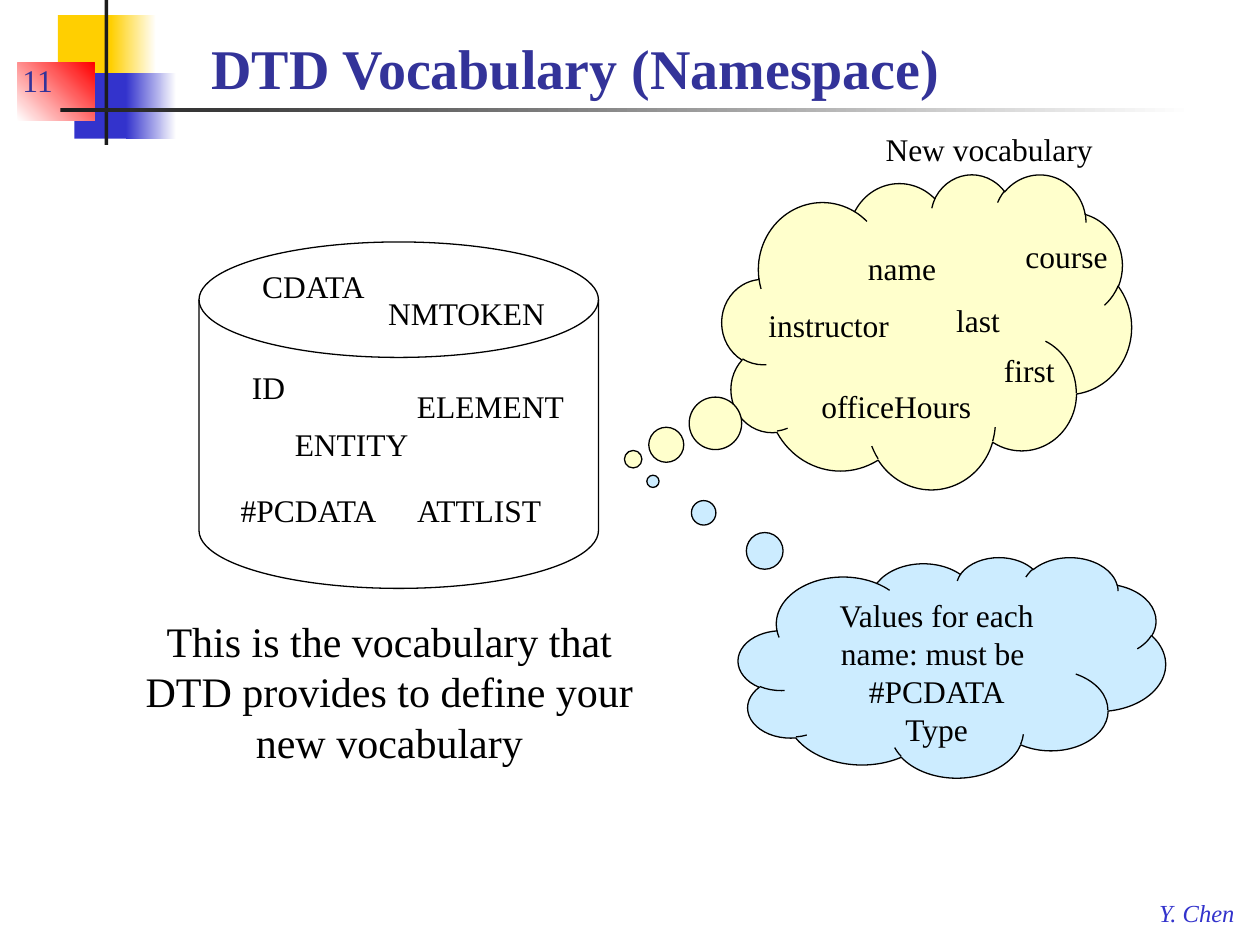
from pptx import Presentation
from pptx.dml.color import RGBColor
from pptx.enum import shapes, text
from pptx.util import Inches, Pt

THEME = {
    "font": "Times New Roman",
    "ink": "000000", "paper": "FFFFFF", "title": "333399", "bar": "1C1C1C",
    "gold": "FFCF01", "blue": "3333CC", "red": "FF0000",
    "cream": "FFFFCC", "sky": "CCECFF",
    "heading": 32, "statement": 24, "body": 18, "credit": 14, "outline": 0.75,
}

DECORATION = [
    ((0.46, 0.12, 0.48, 0.52), ("gold",), 0),
    ((0.88, 0.12, 0.36, 0.52), ("gold", "paper"), 0),
    ((0.59, 0.58, 0.46, 0.52), ("blue",), 0),
    ((1, 0.58, 0.4, 0.52), ("blue", "paper"), 0),
    ((0.14, 0.5, 0.61, 0.46), ("paper", "red"), 45),
    ((0.83, 0, 0.03, 1.15), ("bar",), 0),
    ((0.48, 0.86, 9, 0.03), ("bar", "paper"), 0),
]

CREDIT = ("Y. Chen", (9.1, 7.08, 0.82, 0.33))
PAGE_NUMBER = ("11", (0.08, 0.33, 2.08, 0.5))
TITLE = ("DTD Vocabulary (Namespace)", (1.58, 0.17, 8.33, 0.68))
STATEMENT = ("This is the vocabulary that DTD provides to define your new vocabulary",
             (1.02, 4.83, 4.14, 1.31))

DISK = (1.58, 1.92, 3.17, 2.75)
DTD_WORDS = [
    ("ELEMENT", (3.31, 3.07, 1.23, 0.3)),
    ("ATTLIST", (3.31, 3.9, 1.08, 0.3)),
    ("#PCDATA", (1.91, 3.9, 1.19, 0.3)),
    ("CDATA", (2.08, 2.12, 0.92, 0.3)),
    ("ENTITY", (2.34, 3.37, 0.97, 0.3)),
    ("ID", (2, 2.92, 0.33, 0.3)),
    ("NMTOKEN", (3.08, 2.33, 1.31, 0.3)),
]

NAMES_CLOUD = ((5.73, 1.38, 3.25, 2.5), (-0.717, 0.406))
NEW_WORDS = [
    ("instructor", (6, 2.38, 1.16, 0.4)),
    ("name", (6.79, 1.93, 0.74, 0.4)),
    ("first", (7.87, 2.74, 0.6, 0.4)),
    ("last", (7.49, 2.34, 0.55, 0.4)),
    ("course", (8.04, 1.83, 0.85, 0.4)),
    ("officeHours", (6.42, 3.02, 1.45, 0.4)),
    ("New vocabulary", (6.93, 0.98, 1.85, 0.4)),
]

VALUES_CLOUD = ((5.86, 4.42, 3.39, 1.75), (-0.7, -0.843))
VALUES = ["Values for each name: must be ", "#PCDATA", "Type"]

KIND = shapes.MSO_SHAPE
ANCHOR = text.MSO_ANCHOR
CENTER = text.PP_ALIGN.CENTER


def color(name):
    return RGBColor.from_string(THEME[name])


def add_figure(parent, kind, place, fills, angle=0, outlined=True, tail=()):
    figure = parent.add_shape(kind, *map(Inches, place))
    figure.shadow.inherit = False
    for index, value in enumerate(tail):
        figure.adjustments[index] = value
    if len(fills) > 1:
        figure.fill.gradient()
        figure.fill.gradient_angle = angle
        for stop, name in zip(figure.fill.gradient_stops, fills):
            stop.color.rgb = color(name)
    else:
        figure.fill.solid()
        figure.fill.fore_color.rgb = color(fills[0])
    if outlined:
        figure.line.color.rgb = color("ink")
        figure.line.width = Pt(THEME["outline"])
    else:
        figure.line.fill.background()
    return figure


def write(frame, lines, size="body", ink="ink", align=None, font=None, **layout):
    for key, value in layout.items():
        setattr(frame, key, value)
    for index, line in enumerate(lines):
        paragraph = frame.add_paragraph() if index else frame.paragraphs[0]
        paragraph.alignment = align
        run = paragraph.add_run()
        run.text = line
        run.font.color.rgb = color(ink)
        style = {"name": THEME["font"], "size": Pt(THEME[size]), **(font or {})}
        for key, value in style.items():
            setattr(run.font, key, value)


def add_label(parent, label, **options):
    words, place = label
    box = parent.add_textbox(*map(Inches, place))
    write(box.text_frame, [words], **options)


def main():
    deck = Presentation()
    deck.slide_width, deck.slide_height = Inches(10), Inches(7.5)
    slide = deck.slides.add_slide(deck.slide_layouts[6])
    canvas = slide.shapes

    grow = {"auto_size": text.MSO_AUTO_SIZE.SHAPE_TO_FIT_TEXT}
    free = {**grow, "word_wrap": False}
    sides = ("left", "top", "right", "bottom")
    tight = {**free, "vertical_anchor": ANCHOR.MIDDLE,
             **{f"margin_{side}": 0 for side in sides}}
    header = {"ink": "title", "word_wrap": True, "vertical_anchor": ANCHOR.BOTTOM}

    for place, fills, angle in DECORATION:
        add_figure(canvas, KIND.RECTANGLE, place, fills, angle, outlined=False)
    add_label(canvas, CREDIT, size="credit", ink="blue", font={"italic": True}, **free)
    add_label(canvas, PAGE_NUMBER, **header)
    add_label(canvas, TITLE, size="heading", font={"bold": True}, **header)

    add_figure(canvas, KIND.FLOWCHART_MAGNETIC_DISK, DISK, ("paper",))
    for word in DTD_WORDS:
        add_label(canvas, word, **tight)
    add_label(canvas, STATEMENT, size="statement", align=CENTER, word_wrap=True,
              vertical_anchor=ANCHOR.MIDDLE, **grow)

    vocabulary = canvas.add_group_shape().shapes
    place, tail = NAMES_CLOUD
    add_figure(vocabulary, KIND.CLOUD_CALLOUT, place, ("cream",), tail=tail)
    for word in NEW_WORDS:
        add_label(vocabulary, word, **free)

    place, tail = VALUES_CLOUD
    values = add_figure(canvas, KIND.CLOUD_CALLOUT, place, ("sky",), tail=tail)
    write(values.text_frame, VALUES, align=CENTER, word_wrap=True,
          vertical_anchor=ANCHOR.TOP)

    deck.save("out.pptx")


if __name__ == "__main__":
    main()
